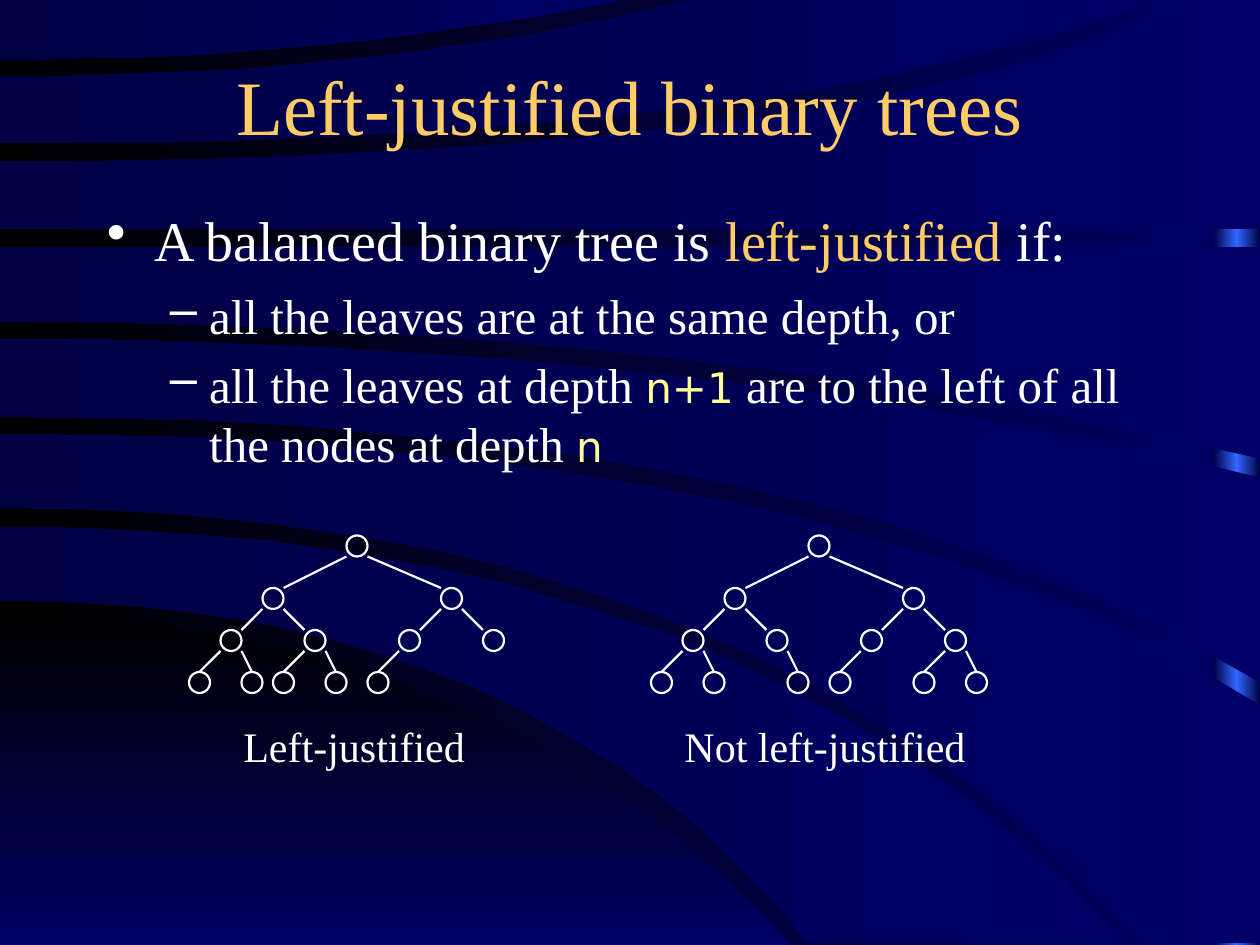
"""Build the slide on left-justified binary trees."""
import copy
from dataclasses import dataclass

from lxml import etree
from pptx import Presentation
from pptx import util as u
from pptx.dml.color import RGBColor
from pptx.enum import shapes, text
from pptx.oxml import ns


@dataclass(frozen=True)
class Theme:
    """Colours, fonts and type sizes."""
    navy: str = "000066"
    deep: str = "000044"
    black: str = "000000"
    blue: str = "3366FF"
    white: str = "FFFFFF"
    gold: str = "FFCC66"
    lemon: str = "FFFF99"
    serif: str = "Times New Roman"
    sans: str = "DejaVu Sans"
    title: int = 44
    lead: int = 32
    item: int = 28
    small: int = 24
    rule: float = 1.25


@dataclass(frozen=True)
class Style:
    """Look of a run of text."""
    size: int
    color: str
    font: str


@dataclass(frozen=True)
class Bullet:
    """Bulleted paragraph made of (words, style) runs."""
    mark: str
    level: int
    margin: float
    hang: float
    before: float
    runs: tuple


@dataclass(frozen=True)
class Tree:
    """Tree whose nodes are numbered as in a heap, with its caption."""
    left: float
    nodes: tuple
    caption: str
    caption_box: tuple


@dataclass(frozen=True)
class Curve:
    """Parabolic arc that leaves the left edge level and bends toward its end."""
    start: float
    bend: float
    end: tuple

    def points(self, steps: int = 16) -> list:
        """List points along the arc."""
        x1, y1 = self.end
        ts = [i / steps for i in range(steps + 1)]
        return [(2 * t * (1 - t) * self.bend + t * t * x1,
                 self.start + t * t * (y1 - self.start)) for t in ts]


@dataclass(frozen=True)
class Band:
    """Area between two curves, with any corners at its right end."""
    upper: Curve
    lower: Curve
    corners: tuple = ()

    def outline(self) -> list:
        """List points around the area."""
        return [*self.upper.points(), *self.corners, *reversed(self.lower.points())]


T = Theme()
TITLE = Style(T.title, T.gold, T.serif)
LEAD = Style(T.lead, T.white, T.serif)
TERM = Style(T.lead, T.gold, T.serif)
ITEM = Style(T.item, T.white, T.serif)
CODE = Style(T.small, T.lemon, T.sans)
CAPTION = Style(T.small, T.white, T.serif)

BULLETS = (
    Bullet("•", 0, 27, 27, 8, (("A balanced binary tree is ", LEAD), ("left-justified", TERM),
                               (" if:", LEAD))),
    Bullet("–", 1, 58.5, 22.5, 7, (("all the leaves are at the same depth, or", ITEM),)),
    Bullet("–", 1, 58.5, 22.5, 6, (("all the leaves at depth ", ITEM), ("n+1", CODE),
                                   (" are to the left of all the nodes at depth ", ITEM),
                                   ("n", CODE))),
)

NODE = 12
LEVEL_TOP = (306, 336, 360, 384)
NODE_LEFT = dict(enumerate(
    (90, 42, 144, 18, 66, 120, 168, 0, 30, 48, 78, 102, 132, 150, 180), start=1))
TREES = (
    Tree(108, tuple(range(1, 13)), "Left-justified", (132, 408, 150, 36)),
    Tree(372, tuple(n for n in NODE_LEFT if n not in (10, 13)), "Not left-justified",
         (384, 408, 192, 36)),
)

GLOW = Band(Curve(353, 282, (452, 540)), Curve(540, 226, (452, 540)))
BANDS = (
    Band(Curve(301, 427, (643, 539)), Curve(343, 307, (462, 539))),
    Band(Curve(248, 474, (720, 403)), Curve(290, 430, (654, 539)), ((720, 539),)),
    Band(Curve(194, 391, (720, 273)), Curve(238, 470, (720, 390))),
    Band(Curve(141, 360, (720, 141)), Curve(184, 395, (720, 262))),
    Band(Curve(92, 500, (679, -1)), Curve(131, 360, (720, 131)), ((720, -1),)),
    Band(Curve(44, 220, (400, -1)), Curve(82, 460, (660, -1))),
    Band(Curve(-1, 180, (361, -1)), Curve(34, 195, (361, -1))),
)


def set_all(obj, values: dict) -> None:
    """Set each named attribute."""
    for name, value in values.items():
        setattr(obj, name, value)


def pts(*values: float) -> list:
    """Turn numbers into point lengths."""
    return [u.Pt(v) for v in values]


def shade(fill, colors: tuple, angle: int = 180) -> None:
    """Fill with an evenly stepped linear gradient."""
    fill.gradient()
    fill.gradient_angle = angle
    last = fill.gradient_stops[-1]._gs
    for _ in colors[2:]:
        last.addprevious(copy.deepcopy(last))
    for i, (stop, color) in enumerate(zip(fill.gradient_stops, colors)):
        stop.position = i / (len(colors) - 1)
        stop.color.rgb = RGBColor.from_string(color)


def draw_band(slide, band: Band, colors: tuple, angle: int = 180) -> None:
    """Draw a shaded band."""
    first, *rest = band.outline()
    builder = slide.shapes.build_freeform(*first, scale=u.Pt(1))
    builder.add_line_segments(rest, close=True)
    sp = builder.convert_to_shape()
    sp.shadow.inherit = False
    sp.line.fill.background()
    shade(sp.fill, colors, angle)


def draw_backdrop(slide) -> None:
    """Draw the background, edge bar, glow and curved bands."""
    shade(slide.background.fill, (T.navy, T.black))
    sp = slide.shapes.add_shape(shapes.MSO_SHAPE.RECTANGLE, *pts(693.5, 0, 26.5, 540))
    sp.shadow.inherit = False
    sp.line.fill.background()
    shade(sp.fill, (T.deep, T.blue, T.deep))
    draw_band(slide, GLOW, (T.black, T.navy), 270)
    for band in BANDS:
        draw_band(slide, band, (T.navy, T.deep))


def add_run(p, words: str, style: Style) -> None:
    """Add styled words to a paragraph."""
    r = p.add_run()
    r.text = words
    set_all(r.font, {"size": u.Pt(style.size), "name": style.font})
    r.font.color.rgb = RGBColor.from_string(style.color)


def add_box(slide, box: tuple):
    """Add a wrapping text box and return its frame."""
    tf = slide.shapes.add_textbox(*pts(*box)).text_frame
    tf.word_wrap = True
    return tf


def write_title(slide, words: str) -> None:
    """Place the title in front of the backdrop."""
    sp = slide.shapes.title
    slide.shapes._spTree.append(sp._element)
    set_all(sp, dict(zip(("left", "top", "width", "height"), pts(24, 30, 672, 60))))
    tf = sp.text_frame
    set_all(tf, {"vertical_anchor": text.MSO_ANCHOR.MIDDLE, "auto_size": text.MSO_AUTO_SIZE.NONE,
                 "word_wrap": True})
    p = tf.paragraphs[0]
    p.alignment = text.PP_ALIGN.CENTER
    add_run(p, words, TITLE)


def write_bullets(slide, bullets: tuple) -> None:
    """Write the bulleted definition."""
    tf = add_box(slide, (54, 114, 612, 174))
    for i, bullet in enumerate(bullets):
        p = tf.add_paragraph() if i else tf.paragraphs[0]
        set_all(p, {"level": bullet.level, "space_before": u.Pt(bullet.before)})
        ppr = p._p.get_or_add_pPr()
        ppr.set("marL", str(u.Pt(bullet.margin)))
        ppr.set("indent", str(-u.Pt(bullet.hang)))
        etree.SubElement(ppr, ns.qn("a:buChar")).set("char", bullet.mark)
        for words, style in bullet.runs:
            add_run(p, words, style)


def ink(sp) -> None:
    """Give a shape or connector the white rule."""
    sp.line.color.rgb = RGBColor.from_string(T.white)
    sp.line.width = u.Pt(T.rule)
    etree.SubElement(sp._element.spPr, ns.qn("a:effectLst"))


def draw_tree(slide, tree: Tree) -> None:
    """Draw nodes, the edges to their parents, and the caption."""
    for n in tree.nodes:
        depth = n.bit_length() - 1
        x, y = tree.left + NODE_LEFT[n], LEVEL_TOP[depth]
        sp = slide.shapes.add_shape(shapes.MSO_SHAPE.OVAL, *pts(x, y, NODE, NODE))
        sp.fill.background()
        ink(sp)
        if n > 1:
            right = n % 2
            parent_x = tree.left + NODE_LEFT[n // 2] + NODE * right
            reach = NODE / 2 if depth == 3 else NODE * (1 - right)
            ends = pts(x + reach, y, parent_x, LEVEL_TOP[depth - 1] + NODE)
            ink(slide.shapes.add_connector(shapes.MSO_CONNECTOR.STRAIGHT, *ends))
    add_run(add_box(slide, tree.caption_box).paragraphs[0], tree.caption, CAPTION)


def main() -> None:
    """Build and save the slide."""
    prs = Presentation()
    set_all(prs, {"slide_width": u.Pt(720), "slide_height": u.Pt(540)})
    slide = prs.slides.add_slide(prs.slide_layouts[5])
    draw_backdrop(slide)
    write_title(slide, "Left-justified binary trees")
    write_bullets(slide, BULLETS)
    for tree in TREES:
        draw_tree(slide, tree)
    prs.save("out.pptx")


if __name__ == "__main__":
    main()
